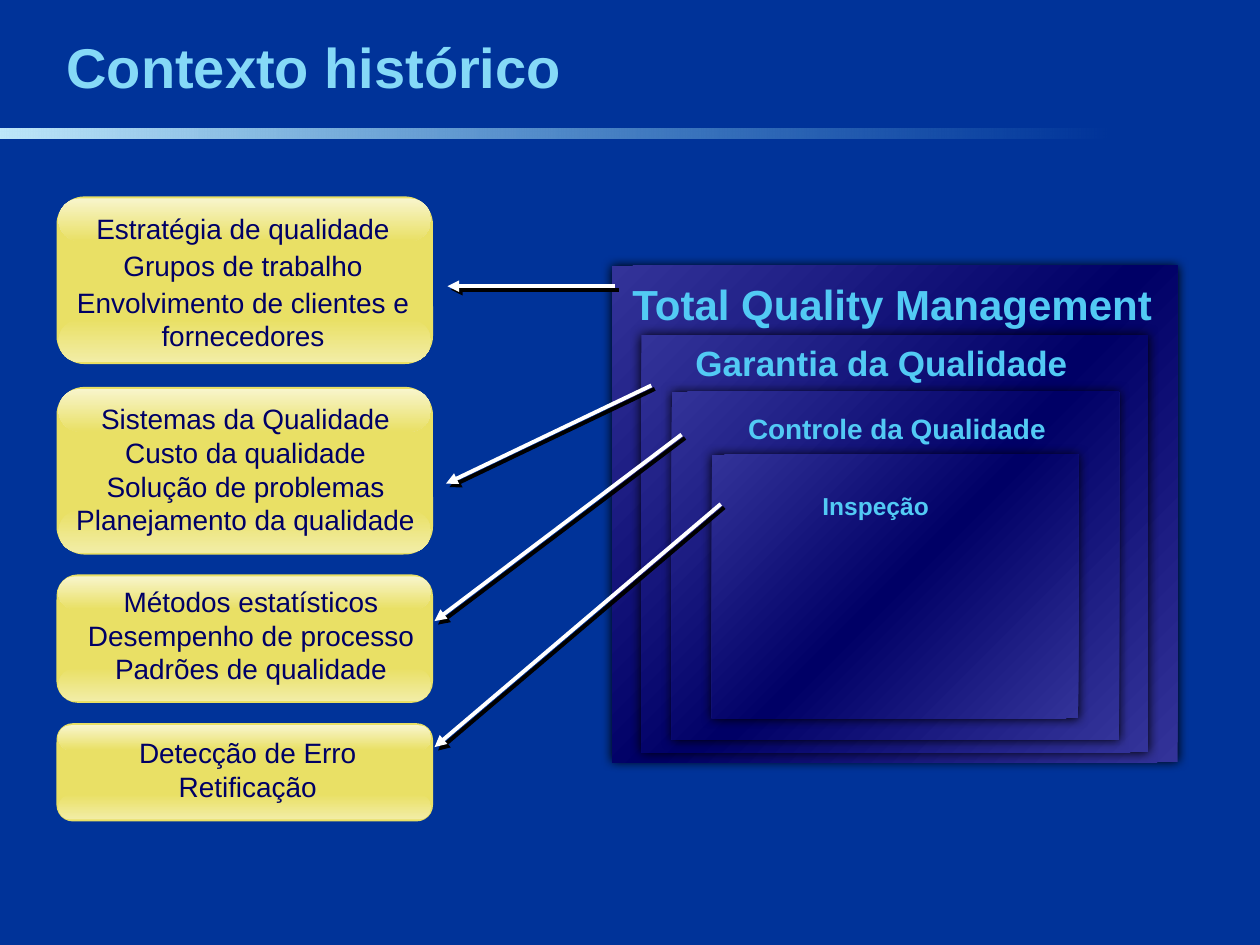
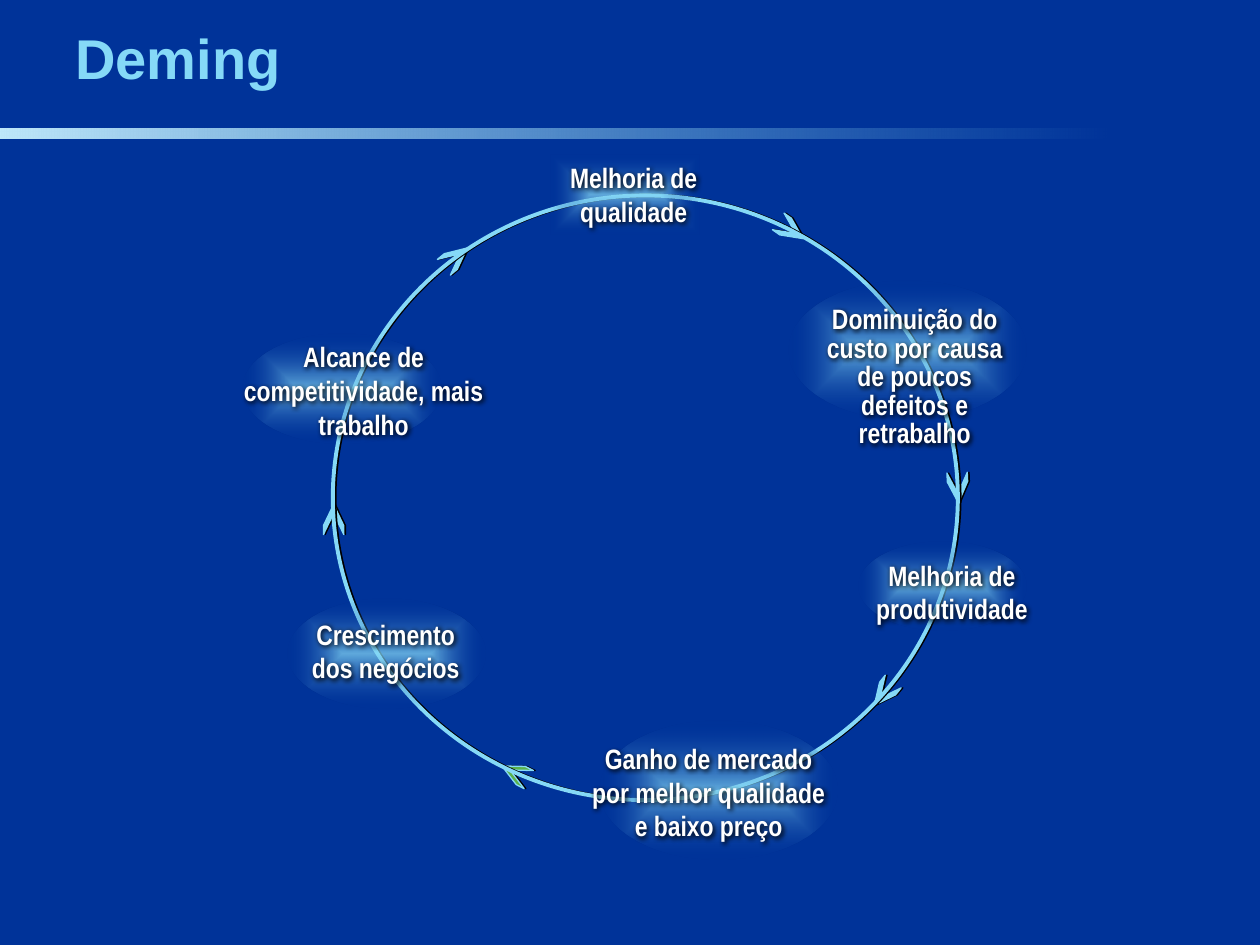
from dataclasses import dataclass
from math import cos, radians, sin
from typing import Any, NamedTuple, Optional

from lxml.etree import SubElement
from pptx import Presentation
from pptx.dml.color import RGBColor
from pptx.enum.shapes import MSO_CONNECTOR, MSO_SHAPE
from pptx.enum.text import MSO_ANCHOR, PP_ALIGN
from pptx.oxml.ns import qn
from pptx.util import Cm, Pt

NAVY = RGBColor(0x00, 0x33, 0x99)
SKY = RGBColor(0x85, 0xD9, 0xF7)
PALE_SKY = RGBColor(0xBE, 0xE8, 0xFA)
CYAN = RGBColor(0x52, 0xCA, 0xF4)
INDIGO = RGBColor(0x33, 0x33, 0x99)
MIDNIGHT = RGBColor(0x00, 0x00, 0x66)
GOLD = RGBColor(0xE9, 0xE0, 0x65)
LIGHT_GOLD = RGBColor(0xF2, 0xED, 0xA6)
CREAM = RGBColor(0xF8, 0xF5, 0xCC)
GREEN = RGBColor(0x5A, 0xB1, 0x4B)
WHITE = RGBColor(0xFF, 0xFF, 0xFF)
BLACK = RGBColor(0x00, 0x00, 0x00)


class Area(NamedTuple):
    left: float
    top: float
    width: float
    height: float


class Point(NamedTuple):
    x: float
    y: float


class Stop(NamedTuple):
    position: int
    color: RGBColor
    opacity: int = 100


class TextStyle(NamedTuple):
    size: float
    color: RGBColor
    bold: bool = True
    font: str = "Arial"
    align: PP_ALIGN = PP_ALIGN.LEFT
    anchor: MSO_ANCHOR = MSO_ANCHOR.TOP
    line_spacing: Optional[float] = None
    space_before: float = 0


@dataclass
class Panel:
    area: Area
    label: str
    label_area: Area
    size: float


@dataclass
class Card:
    top: float
    height: float
    text_area: Area
    lines: list[str]
    arrow_start: Point
    arrow_end: Point
    space_before: float = 0


@dataclass
class Marker:
    position: float
    rotation: float
    color: RGBColor = SKY


@dataclass
class Station:
    text: str
    glow: Area
    text_area: Area
    glow_shape: MSO_SHAPE = MSO_SHAPE.OVAL
    text_shape: Optional[MSO_SHAPE] = None
    line_spacing: Optional[float] = None


TITLE_STYLE = TextStyle(32, SKY, anchor=MSO_ANCHOR.BOTTOM)
CARD_STYLE = TextStyle(16, MIDNIGHT, bold=False, align=PP_ALIGN.CENTER)
STATION_STYLE = TextStyle(16, WHITE, font="Arial Narrow", align=PP_ALIGN.CENTER)

BAND = Area(0, 2.59, 22.43, 0.2)
BAND_STOPS = [Stop(0, PALE_SKY), Stop(100, SKY, 0)]
PANEL_STOPS = [Stop(0, INDIGO), Stop(50, MIDNIGHT), Stop(100, INDIGO)]
GLOW_STOPS = [Stop(0, SKY, 72), Stop(100, NAVY, 0)]

CARD_LEFT, CARD_WIDTH = 1.14, 7.59
SHEEN_INSET, SHEEN_SHARE = 0.04, 0.255
RING = Area(6.71, 3.94, 12.6, 12.19)
MARKER_WIDTH, MARKER_HEIGHT = 0.61, 0.41

PANELS = [
    Panel(Area(12.34, 5.36, 11.4, 10.01), "Total Quality Management",
          Area(12.5, 5.49, 11.43, 1.27), 24),
    Panel(Area(12.93, 6.76, 10.21, 8.41), "Garantia da Qualidade",
          Area(13.77, 6.76, 8.89, 1.09), 20),
    Panel(Area(13.54, 7.9, 9.02, 7.01), "Controle da Qualidade",
          Area(14.83, 8.18, 7.19, 0.94), 16),
    Panel(Area(14.35, 9.17, 7.39, 5.31), "Inspeção",
          Area(16.33, 9.78, 3.61, 0.84), 14),
]

CARDS = [
    Card(11.58, 2.59, Area(1.35, 11.66, 7.42, 2.29),
         ["Métodos estatísticos", "Desempenho de processo", "Padrões de qualidade"],
         Point(13.74, 8.76), Point(8.76, 12.52)),
    Card(7.8, 3.38, Area(1.14, 7.98, 7.62, 2.97),
         ["Sistemas da Qualidade", "Custo da qualidade", "Solução de problemas",
          "Planejamento da qualidade"],
         Point(13.13, 7.77), Point(8.99, 9.75)),
    Card(3.96, 3.38, Area(0.99, 4.14, 7.82, 3.1),
         ["Estratégia de qualidade", "Grupos de trabalho",
          "Envolvimento de clientes e fornecedores"],
         Point(12.4, 5.77), Point(9.02, 5.77), space_before=1.8),
    Card(14.58, 1.98, Area(2.24, 14.71, 5.51, 1.63),
         ["Detecção de Erro", "Retificação"],
         Point(14.53, 10.16), Point(8.76, 15.06)),
]

MARKERS = [
    Marker(232.6, 320.4),
    Marker(297.7, 34.8),
    Marker(358.1, 87.6),
    Marker(40.3, 128.6),
    Marker(114.6, 206.9, GREEN),
    Marker(175.9, 270),
]

STATIONS = [
    Station("Melhoria de qualidade", Area(11.1, 3.12, 3, 1.6),
            Area(10.69, 3.12, 4.17, 1.63), glow_shape=MSO_SHAPE.RECTANGLE),
    Station("Dominuição do custo por causa de poucos defeitos e retrabalho",
            Area(15.9, 5.66, 4.8, 2.79), Area(15.29, 5.41, 6.3, 4.45),
            text_shape=MSO_SHAPE.OVAL, line_spacing=0.85),
    Station("Melhoria de produtividade", Area(17.3, 10.92, 3.4, 1.8),
            Area(16.89, 11.13, 4.6, 1.63)),
    Station("Ganho de mercado por melhor qualidade e baixo preço",
            Area(12.09, 14.53, 4.8, 2.79), Area(11.68, 14.83, 5.21, 2.29)),
    Station("Crescimento dos negócios", Area(5.79, 12.07, 3.99, 2.21),
            Area(5.69, 12.32, 4.17, 1.63)),
    Station("Alcance de competitividade, mais trabalho",
            Area(4.9, 6.73, 3.99, 2.21), Area(4.5, 6.73, 5.66, 2.29)),
]


def apply_format(target: Any, values: dict[str, Any]) -> None:
    for name, value in values.items():
        setattr(target, name, value)


def add_color(parent: Any, color: RGBColor, opacity: int = 100) -> None:
    node = SubElement(parent, qn("a:srgbClr"), val=str(color))
    if opacity < 100:
        SubElement(node, qn("a:alpha"), val=str(opacity * 1000))


def cast_shadow(properties: Any, distance: float, angle: int, blur: float = 0) -> None:
    effects = properties.find(qn("a:effectLst"))
    if effects is None:
        effects = SubElement(properties, qn("a:effectLst"))
    shadow = SubElement(effects, qn("a:outerShdw"), blurRad=str(Pt(blur)),
                        dist=str(Pt(distance)), dir=str(angle * 60000),
                        algn="ctr", rotWithShape="0")
    add_color(shadow, BLACK)


def paint_gradient(shape: Any, stops: list[Stop], angle: Optional[int] = None) -> None:
    shape.fill.gradient()
    gradient = shape._element.spPr.find(qn("a:gradFill"))
    for child in list(gradient):
        gradient.remove(child)
    stop_list = SubElement(gradient, qn("a:gsLst"))
    for stop in stops:
        node = SubElement(stop_list, qn("a:gs"), pos=str(stop.position * 1000))
        add_color(node, stop.color, stop.opacity)
    if angle is None:
        route = SubElement(gradient, qn("a:path"), {"path": "shape"})
        SubElement(route, qn("a:fillToRect"), l="50000", t="50000", r="50000", b="50000")
    else:
        SubElement(gradient, qn("a:lin"), ang=str(angle * 60000), scaled="1")


def add_figure(page: Any, kind: MSO_SHAPE, area: Area, fill: Optional[RGBColor] = None,
               line: Optional[RGBColor] = None, line_width: float = 0.75) -> Any:
    shape = page.shapes.add_shape(kind, *map(Cm, area))
    shape.shadow.inherit = False
    if fill is None:
        shape.fill.background()
    else:
        shape.fill.solid()
        shape.fill.fore_color.rgb = fill
    if line is None:
        shape.line.fill.background()
    else:
        shape.line.color.rgb = line
        shape.line.width = Pt(line_width)
    return shape


def add_text(page: Any, area: Area, lines: list[str], style: TextStyle,
             kind: Optional[MSO_SHAPE] = None) -> Any:
    if kind is None:
        box = page.shapes.add_textbox(*map(Cm, area))
    else:
        box = add_figure(page, kind, area)
    frame = box.text_frame
    apply_format(frame, {"word_wrap": True, "vertical_anchor": style.anchor})
    for index, line in enumerate(lines):
        para = frame.paragraphs[0] if index == 0 else frame.add_paragraph()
        apply_format(para, {"alignment": style.align, "line_spacing": style.line_spacing,
                            "space_before": Pt(style.space_before)})
        span = para.add_run()
        span.text = line
        apply_format(span.font, {"name": style.font, "size": Pt(style.size),
                                 "bold": style.bold})
        span.font.color.rgb = style.color
    return box


def add_arrow(page: Any, start: Point, end: Point) -> None:
    arrow = page.shapes.add_connector(MSO_CONNECTOR.STRAIGHT, *map(Cm, (*start, *end)))
    arrow.line.color.rgb = WHITE
    arrow.line.width = Pt(2.25)
    SubElement(arrow.line._get_or_add_ln(), qn("a:tailEnd"), type="triangle")
    cast_shadow(arrow._element.spPr, 2.8, 45)


def add_page(deck: Any, title: str, title_area: Area) -> tuple[Any, Any]:
    page = deck.slides.add_slide(deck.slide_layouts[6])
    band = add_figure(page, MSO_SHAPE.RECTANGLE, BAND)
    paint_gradient(band, BAND_STOPS, 0)
    return page, add_text(page, title_area, [title], TITLE_STYLE)


def add_card(page: Any, card: Card) -> None:
    body = add_figure(page, MSO_SHAPE.ROUNDED_RECTANGLE,
                      Area(CARD_LEFT, card.top, CARD_WIDTH, card.height), GOLD)
    body.adjustments[0] = 0.167
    height = card.height * SHEEN_SHARE
    bottom = card.top + card.height - SHEEN_INSET - height
    for top, colors in ((bottom, (GOLD, LIGHT_GOLD)),
                        (card.top + SHEEN_INSET, (CREAM, GOLD))):
        sheen = add_figure(page, MSO_SHAPE.ROUNDED_RECTANGLE,
                           Area(CARD_LEFT + SHEEN_INSET, top,
                                CARD_WIDTH - 2 * SHEEN_INSET, height))
        sheen.adjustments[0] = 0.5
        paint_gradient(sheen, [Stop(0, colors[0]), Stop(100, colors[1])], 90)
    add_text(page, card.text_area, card.lines,
             CARD_STYLE._replace(space_before=card.space_before))
    add_arrow(page, card.arrow_start, card.arrow_end)


def add_marker(page: Any, marker: Marker) -> None:
    angle = radians(marker.position)
    x = RING.left + RING.width / 2 * (1 + cos(angle))
    y = RING.top + RING.height / 2 * (1 + sin(angle))
    area = Area(x - MARKER_WIDTH / 2, y - MARKER_HEIGHT / 2, MARKER_WIDTH, MARKER_HEIGHT)
    chevron = add_figure(page, MSO_SHAPE.CHEVRON, area, marker.color, SKY)
    chevron.adjustments[0] = 1.044
    chevron.rotation = marker.rotation
    cast_shadow(chevron._element.spPr, 1, 0)


def add_station(page: Any, station: Station) -> None:
    glow = add_figure(page, station.glow_shape, station.glow)
    paint_gradient(glow, GLOW_STOPS)
    box = add_text(page, station.text_area, [station.text],
                   STATION_STYLE._replace(line_spacing=station.line_spacing),
                   station.text_shape)
    cast_shadow(box._element.spPr, 1, 45, blur=3)


def build_history(deck: Any) -> None:
    page, title = add_page(deck, "Contexto histórico", Area(1.09, 0.53, 20.96, 1.6))
    span = title.text_frame.paragraphs[0].runs[0]
    effects = span._r.rPr.makeelement(qn("a:effectLst"))
    span._r.rPr.find(qn("a:solidFill")).addnext(effects)
    cast_shadow(span._r.rPr, 2.8, 45)
    for panel in PANELS:
        square = add_figure(page, MSO_SHAPE.ACTION_BUTTON_CUSTOM, panel.area)
        paint_gradient(square, PANEL_STOPS, 45)
        cast_shadow(square._element.spPr, 0, 0, blur=6)
    for panel in PANELS:
        add_text(page, panel.label_area, [panel.label], TextStyle(panel.size, CYAN))
    for card in CARDS:
        add_card(page, card)


def build_cycle(deck: Any) -> None:
    page, _ = add_page(deck, "Deming", Area(1.27, 0.53, 20.96, 1.42))
    for marker in MARKERS:
        add_marker(page, marker)
    ring = add_figure(page, MSO_SHAPE.OVAL, RING, line=SKY, line_width=2.25)
    cast_shadow(ring._element.spPr, 1, 0)
    for station in STATIONS:
        add_station(page, station)


def main() -> None:
    deck = Presentation()
    apply_format(deck, {"slide_width": Cm(25.4), "slide_height": Cm(19.05)})
    backdrop = deck.slide_master.background.fill
    backdrop.solid()
    backdrop.fore_color.rgb = NAVY
    build_history(deck)
    build_cycle(deck)
    deck.save("out.pptx")


if __name__ == "__main__":
    main()
